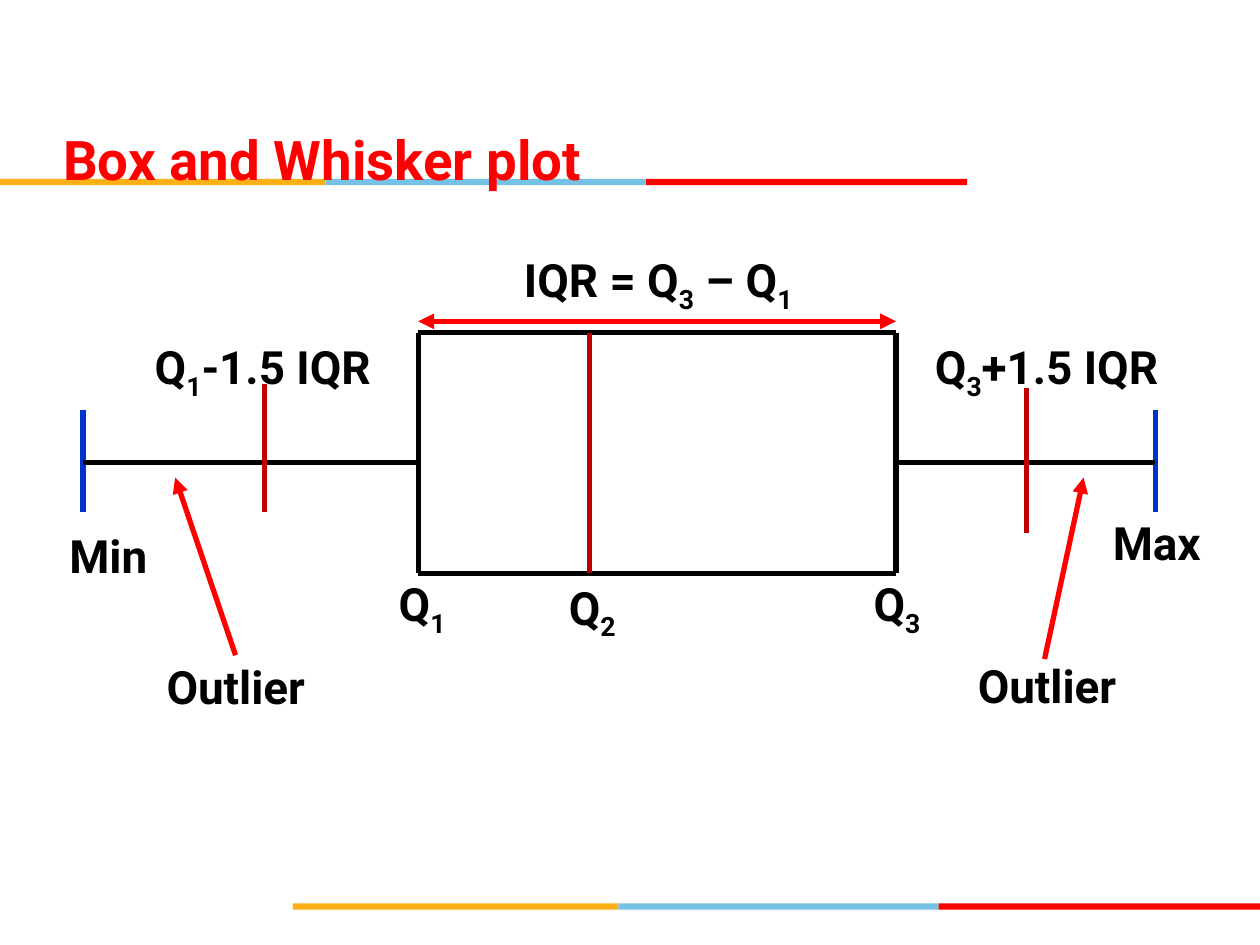
from lxml import etree
from pptx import Presentation
from pptx.dml.color import RGBColor
from pptx.enum.shapes import MSO_CONNECTOR, MSO_SHAPE
from pptx.enum.text import MSO_ANCHOR, MSO_AUTO_SIZE, PP_ALIGN
from pptx.oxml.ns import qn
from pptx.util import Pt

LINE, RECT = MSO_CONNECTOR.STRAIGHT, MSO_SHAPE.RECTANGLE
TOP = MSO_ANCHOR.TOP
FIXED, GROW = MSO_AUTO_SIZE.NONE, MSO_AUTO_SIZE.SHAPE_TO_FIT_TEXT
LEFT, CENTER = PP_ALIGN.LEFT, PP_ALIGN.CENTER

HEX = {"black": "000000", "red": "FF0000", "dark": "C00000",
       "blue": "0033CC", "gold": "FCB017", "sky": "76C2E5"}
FONT = "Roboto"
TITLE = "Box and Whisker plot"

BANDS = [("gold", 186), ("sky", 183), ("red", 183.6)]
STRIPES = [(167.4, 516.2), (0, 102.2)]
BAND_H = 3.6

MIN, LOW, Q1, Q2, Q3, HIGH, MAX = 47.5, 151.2, 239, 337, 512, 586.5, 660.2
ROOF, FLOOR, MID = 190.1, 327.6, 264.2
SPAN = 183.6

LINES = [
    ("black", Q1, ROOF, Q1, FLOOR, ""),
    ("black", Q1, ROOF, Q3, ROOF, ""),
    ("black", Q1, FLOOR, Q3, FLOOR, ""),
    ("black", Q3, ROOF, Q3, FLOOR, ""),
    ("dark", Q2, ROOF, Q2, FLOOR, ""),
    ("blue", MIN, 234, MIN, 292.5, ""),
    ("blue", MAX, 234, MAX, 292.5, ""),
    ("black", Q3, MID, MAX, MID, ""),
    ("black", MIN, MID, Q1, MID, ""),
    ("dark", LOW, 219.6, LOW, 292.5, ""),
    ("dark", HIGH, 221.8, HIGH, 304.6, ""),
    ("red", 134.6, 374.4, 100.1, 272.9, "tail"),
    ("red", 596.9, 376.6, 619.2, 272.9, "tail"),
    ("red", Q1, SPAN, Q3, SPAN, "head tail"),
]

LABELS = [
    (215.3, 326.9, 51.8, ["Q", "_1"]),
    (316.8, 329, 43.2, ["Q", "_2"]),
    (491, 326.9, 43.2, ["Q", "_3"]),
    (76.3, 191.5, 147.6, ["Q", "_1", "-1.5 IQR"]),
    (524.2, 191.5, 147.6, ["Q", "_3", "+1.5 IQR"]),
    (30.2, 299.5, 63.4, ["Min"]),
    (629.3, 291.6, 63.4, ["Max"]),
    (81.4, 374.4, 106.6, ["Outlier"]),
    (545, 373.7, 106.6, ["Outlier"]),
    (282.2, 141.8, 187.9, ["IQR = Q", "_3", " – Q", "_1"]),
]


def tint(name):
    return RGBColor.from_string(HEX[name])


def write(shape, runs, size, color, align, fit):
    frame = shape.text_frame
    frame.word_wrap = True
    frame.auto_size = fit
    frame.vertical_anchor = TOP
    frame.margin_left = frame.margin_right = Pt(4.4)
    frame.margin_top = frame.margin_bottom = Pt(2.2)
    para = frame.paragraphs[0]
    para.alignment = align
    for part in runs:
        run = para.add_run()
        run.text = part.lstrip("_")
        font = run.font
        font.name, font.size, font.bold = FONT, Pt(size), True
        font.color.rgb = tint(color)
        if part.startswith("_"):
            run._r.get_or_add_rPr().set("baseline", "-25000")


def stripe(shapes, left, top):
    for color, width in BANDS:
        band = shapes.add_shape(RECT, Pt(left), Pt(top), Pt(width), Pt(BAND_H))
        band.shadow.inherit = False
        band.fill.solid()
        band.fill.fore_color.rgb = tint(color)
        band.line.fill.background()
        left += width


def draw(shapes, color, x1, y1, x2, y2, ends):
    wire = shapes.add_connector(LINE, Pt(x1), Pt(y1), Pt(x2), Pt(y2))
    wire.line.width = Pt(3)
    wire.line.color.rgb = tint(color)
    props = wire._element.spPr
    for end in ends.split():
        etree.SubElement(props.find(qn("a:ln")), qn(f"a:{end}End"), type="triangle")
    etree.SubElement(props, qn("a:effectLst"))


def main():
    """Build the box and whisker slide."""
    deck = Presentation()
    deck.slide_width, deck.slide_height = Pt(720), Pt(540)
    slide = deck.slides.add_slide(deck.slide_layouts[5])
    shapes = slide.shapes
    for left, top in STRIPES:
        stripe(shapes, left, top)
    title = shapes.title
    title.left, title.top, title.width, title.height = Pt(31.7), Pt(69.8), Pt(566.6), Pt(34.6)
    write(title, [TITLE], 31.2, "red", LEFT, FIXED)
    shapes._spTree.append(title._element)
    for line in LINES:
        draw(shapes, *line)
    for left, top, width, runs in LABELS:
        box = shapes.add_textbox(Pt(left), Pt(top), Pt(width), Pt(36.7))
        write(box, runs, 26.2, "black", CENTER, GROW)
    deck.save("out.pptx")


if __name__ == "__main__":
    main()
